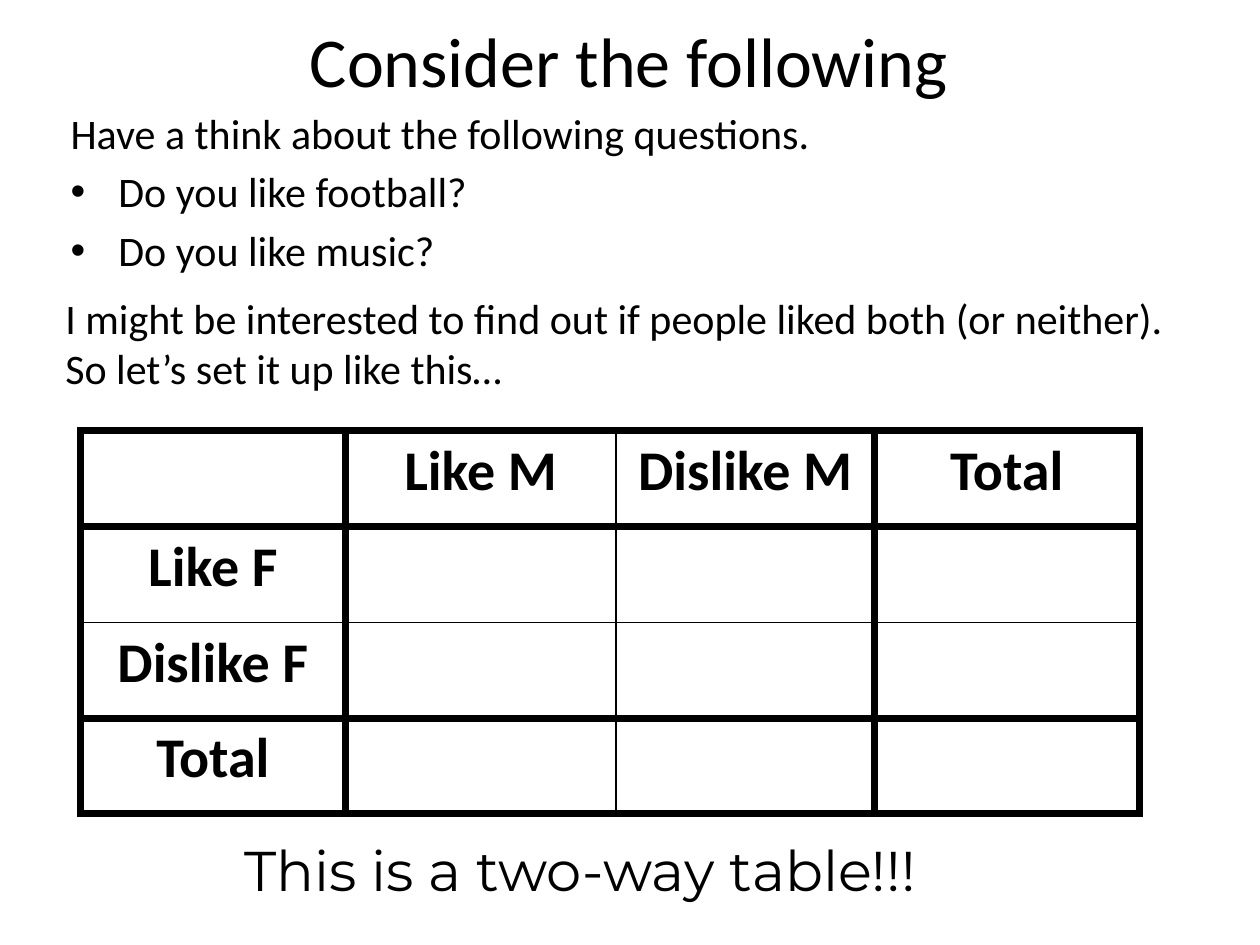
from typing import NamedTuple

from lxml import etree
from pptx import Presentation
from pptx import util as u
from pptx.dml import color
from pptx.enum import text
from pptx.oxml import ns

PX = 9144
COLORS = {"ink": "000000", "page": "FFFFFF"}
THICK, THIN = 4.5, 1
THIN_EDGE = 2
TABLE_LEFT, TABLE_TOP = 64, 342
COLUMNS = [210, 215, 205, 210]
ROW_HEIGHT = 76
LABELS = {
    (0, 1): "Like M", (0, 2): "Dislike M", (0, 3): "Total",
    (1, 0): "Like F", (2, 0): "Dislike F", (3, 0): "Total",
}


class Box(NamedTuple):
    left: int
    top: int
    width: int
    height: int

    def emu(self) -> list[u.Emu]:
        return [u.Emu(length * PX) for length in self]


class Block(NamedTuple):
    rows: range
    columns: range


class Line(NamedTuple):
    words: str
    bullet: bool = False


BLOCKS = [
    Block(range(0, 3), range(0, 3)),
    Block(range(3, 4), range(0, 3)),
    Block(range(0, 3), range(3, 4)),
    Block(range(3, 4), range(3, 4)),
]
QUESTIONS = [
    Line("Have a think about the following questions."),
    Line("Do you like football?", True),
    Line("Do you like music?", True),
]


def add_run(paragraph, words: str, size: int, font: str = "Calibri", bold: bool = False) -> None:
    run = paragraph.add_run()
    run.text = words
    run.font.name = font
    run.font.size = u.Pt(size)
    run.font.bold = bold
    run.font.color.rgb = color.RGBColor.from_string(COLORS["ink"])


def next_paragraph(frame, index: int):
    return frame.add_paragraph() if index else frame.paragraphs[0]


def place(shape, box: Box) -> None:
    shape.left, shape.top, shape.width, shape.height = box.emu()


def fill_title(shape, box: Box, words: str) -> None:
    place(shape, box)
    frame = shape.text_frame
    frame.auto_size = text.MSO_AUTO_SIZE.NONE
    frame.vertical_anchor = text.MSO_ANCHOR.MIDDLE
    paragraph = frame.paragraphs[0]
    paragraph.alignment = text.PP_ALIGN.CENTER
    add_run(paragraph, words, 40)


def fill_body(shape, box: Box, lines: list[Line]) -> None:
    place(shape, box)
    frame = shape.text_frame
    frame.auto_size = text.MSO_AUTO_SIZE.NONE
    for index, line in enumerate(lines):
        paragraph = next_paragraph(frame, index)
        indent = 38 * PX if line.bullet else 0
        properties = paragraph._p.get_or_add_pPr()
        properties.set("marL", str(indent))
        properties.set("indent", str(-indent))
        if line.bullet:
            etree.SubElement(properties, ns.qn("a:buChar"), char="•")
        else:
            etree.SubElement(properties, ns.qn("a:buNone"))
        paragraph.space_before = u.Pt(4.8 if index else 0)
        add_run(paragraph, line.words, 24)


def add_text(slide, box: Box, lines: list[str], size: int, font: str) -> None:
    frame = slide.shapes.add_textbox(*box.emu()).text_frame
    frame.word_wrap = True
    frame.auto_size = text.MSO_AUTO_SIZE.SHAPE_TO_FIT_TEXT
    for index, words in enumerate(lines):
        add_run(next_paragraph(frame, index), words, size, font)


def draw_borders(cell, row: int, column: int) -> None:
    edges = {"lnL": column, "lnR": column + 1, "lnT": row, "lnB": row + 1}
    properties = cell._tc.get_or_add_tcPr()
    for tag, edge in edges.items():
        weight = THIN if edge == THIN_EDGE else THICK
        border = etree.SubElement(properties, ns.qn(f"a:{tag}"), w=str(u.Pt(weight)))
        solid = etree.SubElement(border, ns.qn("a:solidFill"))
        etree.SubElement(solid, ns.qn("a:srgbClr"), val=COLORS["ink"])


def add_block(slide, block: Block) -> None:
    widths = [COLUMNS[column] for column in block.columns]
    box = Box(
        TABLE_LEFT + sum(COLUMNS[:block.columns.start]),
        TABLE_TOP + ROW_HEIGHT * block.rows.start,
        sum(widths),
        ROW_HEIGHT * len(block.rows),
    )
    table = slide.shapes.add_table(len(block.rows), len(widths), *box.emu()).table
    table.first_row = table.horz_banding = False
    for table_column, width in zip(table.columns, widths):
        table_column.width = u.Emu(width * PX)
    for i, row in enumerate(block.rows):
        table.rows[i].height = u.Emu(ROW_HEIGHT * PX)
        for j, column in enumerate(block.columns):
            cell = table.cell(i, j)
            draw_borders(cell, row, column)
            cell.fill.background()
            if (row, column) in LABELS:
                paragraph = cell.text_frame.paragraphs[0]
                paragraph.alignment = text.PP_ALIGN.CENTER
                add_run(paragraph, LABELS[row, column], 32, bold=True)


def main() -> None:
    presentation = Presentation()
    presentation.slide_width = u.Emu(1000 * PX)
    presentation.slide_height = u.Emu(750 * PX)
    slide = presentation.slides.add_slide(presentation.slide_layouts[1])
    background = slide.background.fill
    background.solid()
    background.fore_color.rgb = color.RGBColor.from_string(COLORS["page"])

    fill_title(slide.shapes.title, Box(49, 5, 900, 85), "Consider the following")
    fill_body(slide.placeholders[1], Box(46, 80, 900, 153), QUESTIONS)
    for block in BLOCKS:
        add_block(slide, block)
    add_text(slide, Box(184, 658, 630, 64), ["This is a two-way table!!!"], 32, "Montserrat")
    add_text(slide, Box(42, 227, 904, 91), [
        "I might be interested to find out if people liked both (or neither).",
        "So let’s set it up like this…",
    ], 24, "Calibri")
    presentation.save("out.pptx")


if __name__ == "__main__":
    main()
